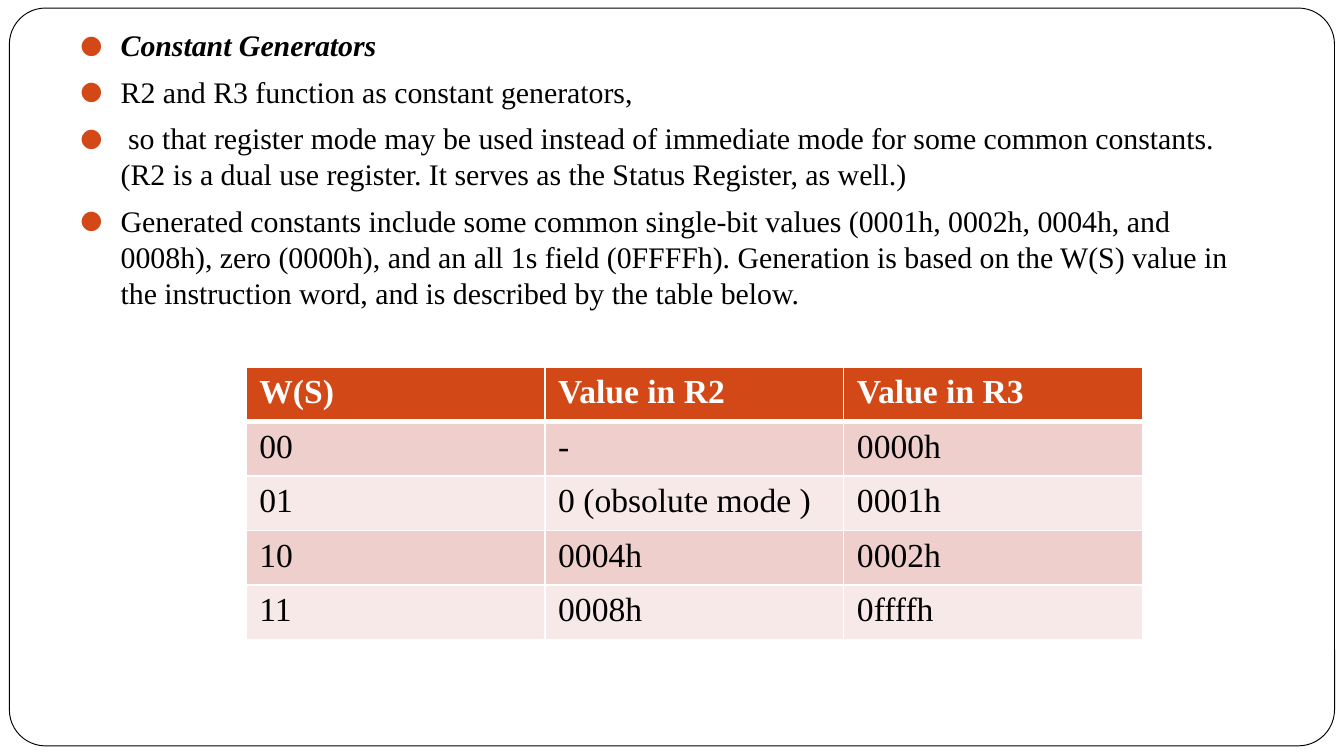
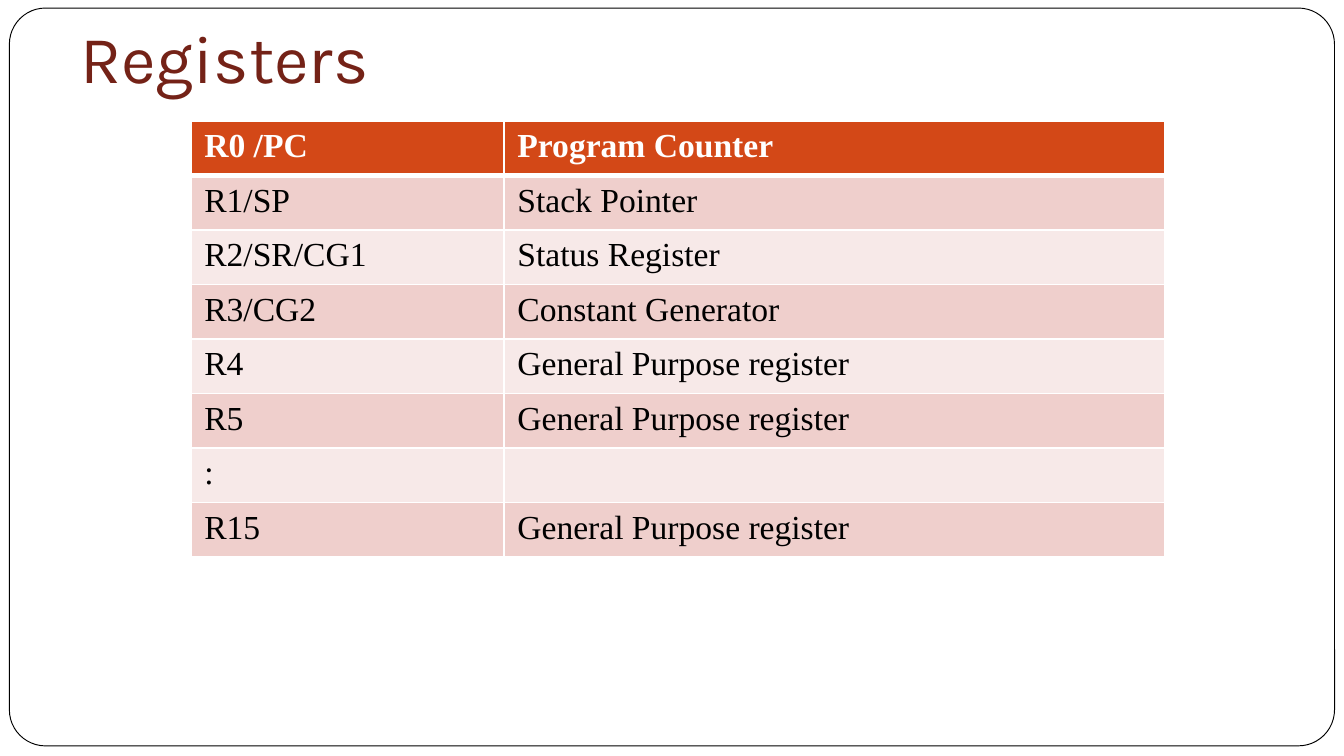
from dataclasses import dataclass

from pptx import Presentation
from pptx import util as u
from pptx.dml.color import RGBColor
from pptx.enum import shapes, text
from pptx.oxml import xmlchemy
from pptx.oxml.ns import qn
from pptx.slide import Slide
from pptx.text.text import TextFrame, _Paragraph


@dataclass(frozen=True)
class Theme:
    accent: str = "D34817"
    title: str = "742217"
    ink: str = "000000"
    paper: str = "FFFFFF"
    bands: tuple[str, str] = ("EFCFCC", "F7E9E8")
    body_font: str = "Times New Roman"
    title_font: str = "Karla"
    title_size: float = 36
    body_size: float = 16
    table_size: float = 18


@dataclass(frozen=True)
class TableSpec:
    left: float
    top: float
    column_widths: tuple[float, ...]
    rows: tuple[tuple[str, ...], ...]


@dataclass(frozen=True)
class Bullet:
    words: str
    emphasis: bool = False


THEME = Theme()
ROW_HEIGHT = u.Pt(29.2)
BULLET_INDENT = 0.3

CONSTANT_BULLETS = (
    Bullet("Constant Generators", emphasis=True),
    Bullet("R2 and R3 function as constant generators,"),
    Bullet(" so that register mode may be used instead of immediate mode for some "
           "common constants. (R2 is a dual use register. It serves as the Status "
           "Register, as well.)"),
    Bullet("Generated constants include some common single-bit values (0001h, 0002h, "
           "0004h, and 0008h), zero (0000h), and an all 1s field (0FFFFh). Generation "
           "is based on the W(S) value in the instruction word, and is described by "
           "the table below."),
)

CONSTANT_TABLE = TableSpec(1.83, 2.73, (6.67 / 3,) * 3, (
    ("W(S)", "Value in R2", "Value in R3"),
    ("00", "-", "0000h"),
    ("01", "0 (obsolute mode )", "0001h"),
    ("10", "0004h", "0002h"),
    ("11", "0008h", "0ffffh"),
))

GENERAL = "General Purpose register"
REGISTER_TABLE = TableSpec(1.42, 0.9, (2.33, 4.92), (
    ("R0 /PC", "Program Counter"),
    ("R1/SP", "Stack Pointer"),
    ("R2/SR/CG1", "Status Register"),
    ("R3/CG2", "Constant Generator"),
    ("R4", GENERAL),
    ("R5", GENERAL),
    (":", ""),
    ("R15", GENERAL),
))


# Text and XML helpers
def write(paragraph: _Paragraph, words: str, *, size: float, color: str = THEME.ink,
          font: str = THEME.body_font, bold: bool = False, italic: bool = False) -> None:
    run = paragraph.add_run()
    run.text = words
    run.font.name = font
    run.font.size = u.Pt(size)
    run.font.bold = bold
    run.font.italic = italic
    run.font.color.rgb = RGBColor.from_string(color)


def add_child(parent: xmlchemy.BaseOxmlElement, tag: str,
              **attributes: object) -> xmlchemy.BaseOxmlElement:
    child = parent.makeelement(qn(tag), {key: str(value) for key, value in attributes.items()})
    parent.append(child)
    return child


def add_text_frame(slide: Slide, left: float, top: float, width: float,
                   height: float) -> TextFrame:
    box = slide.shapes.add_textbox(u.Inches(left), u.Inches(top),
                                   u.Inches(width), u.Inches(height))
    box.text_frame.word_wrap = True
    return box.text_frame


# Slide parts
def add_framed_slide(presentation: Presentation) -> Slide:
    slide = presentation.slides.add_slide(presentation.slide_layouts[6])
    frame = slide.shapes.add_shape(shapes.MSO_SHAPE.ROUNDED_RECTANGLE, u.Inches(0.07),
                                   u.Inches(0.06), u.Inches(9.86), u.Inches(5.49))
    frame.adjustments[0] = 0.049
    frame.shadow.inherit = False
    frame.fill.solid()
    frame.fill.fore_color.rgb = RGBColor.from_string(THEME.paper)
    frame.line.color.rgb = RGBColor.from_string(THEME.ink)
    frame.line.width = u.Pt(0.5)
    return slide


def add_title(slide: Slide, words: str) -> None:
    frame = add_text_frame(slide, 0.5, 0.23, 9, 0.59)
    frame.vertical_anchor = text.MSO_ANCHOR.BOTTOM
    frame.margin_bottom = u.Inches(0.1)
    write(frame.paragraphs[0], words, size=THEME.title_size, color=THEME.title,
          font=THEME.title_font)


def add_bullets(slide: Slide, bullets: tuple[Bullet, ...]) -> None:
    frame = add_text_frame(slide, 0.5, 0.15, 9, 3.71)
    for index, bullet in enumerate(bullets):
        paragraph = frame.add_paragraph() if index else frame.paragraphs[0]
        paragraph.space_before = u.Pt(5.8)
        properties = paragraph._p.get_or_add_pPr()
        properties.set("marL", str(u.Inches(BULLET_INDENT)))
        properties.set("indent", str(-u.Inches(BULLET_INDENT)))
        add_child(add_child(properties, "a:buClr"), "a:srgbClr", val=THEME.accent)
        add_child(properties, "a:buSzPct", val=85000)
        add_child(properties, "a:buFont", typeface=THEME.title_font)
        add_child(properties, "a:buChar", char="●")
        write(paragraph, bullet.words, size=THEME.body_size,
              bold=bullet.emphasis, italic=bullet.emphasis)


def add_table(slide: Slide, spec: TableSpec) -> None:
    table = slide.shapes.add_table(
        len(spec.rows), len(spec.column_widths), u.Inches(spec.left), u.Inches(spec.top),
        u.Inches(sum(spec.column_widths)), ROW_HEIGHT * len(spec.rows)).table
    for column, width in zip(table.columns, spec.column_widths):
        column.width = u.Inches(width)
    for row_index, row in enumerate(spec.rows):
        header = row_index == 0
        table.rows[row_index].height = ROW_HEIGHT
        # A heavier rule separates the header from the bands
        borders = {"a:lnL": 1, "a:lnR": 1, "a:lnT": 3 if row_index == 1 else 1,
                   "a:lnB": 3 if header else 1}
        for column_index, words in enumerate(row):
            cell = table.cell(row_index, column_index)
            properties = cell._tc.get_or_add_tcPr()
            for tag, width in borders.items():
                line = add_child(properties, tag, w=u.Pt(width))
                add_child(add_child(line, "a:solidFill"), "a:srgbClr", val=THEME.paper)
            cell.fill.solid()
            cell.fill.fore_color.rgb = RGBColor.from_string(
                THEME.accent if header else THEME.bands[(row_index - 1) % 2])
            if words:
                write(cell.text_frame.paragraphs[0], words, size=THEME.table_size,
                      color=THEME.paper if header else THEME.ink, bold=header)


def main() -> None:
    presentation = Presentation()
    # Widescreen, 16:9
    presentation.slide_width = u.Inches(10)
    presentation.slide_height = u.Inches(10 * 9 / 16)

    # Constant generators
    slide = add_framed_slide(presentation)
    add_bullets(slide, CONSTANT_BULLETS)
    add_table(slide, CONSTANT_TABLE)

    # Registers
    slide = add_framed_slide(presentation)
    add_title(slide, "Registers")
    add_table(slide, REGISTER_TABLE)

    presentation.save("out.pptx")


if __name__ == "__main__":
    main()
